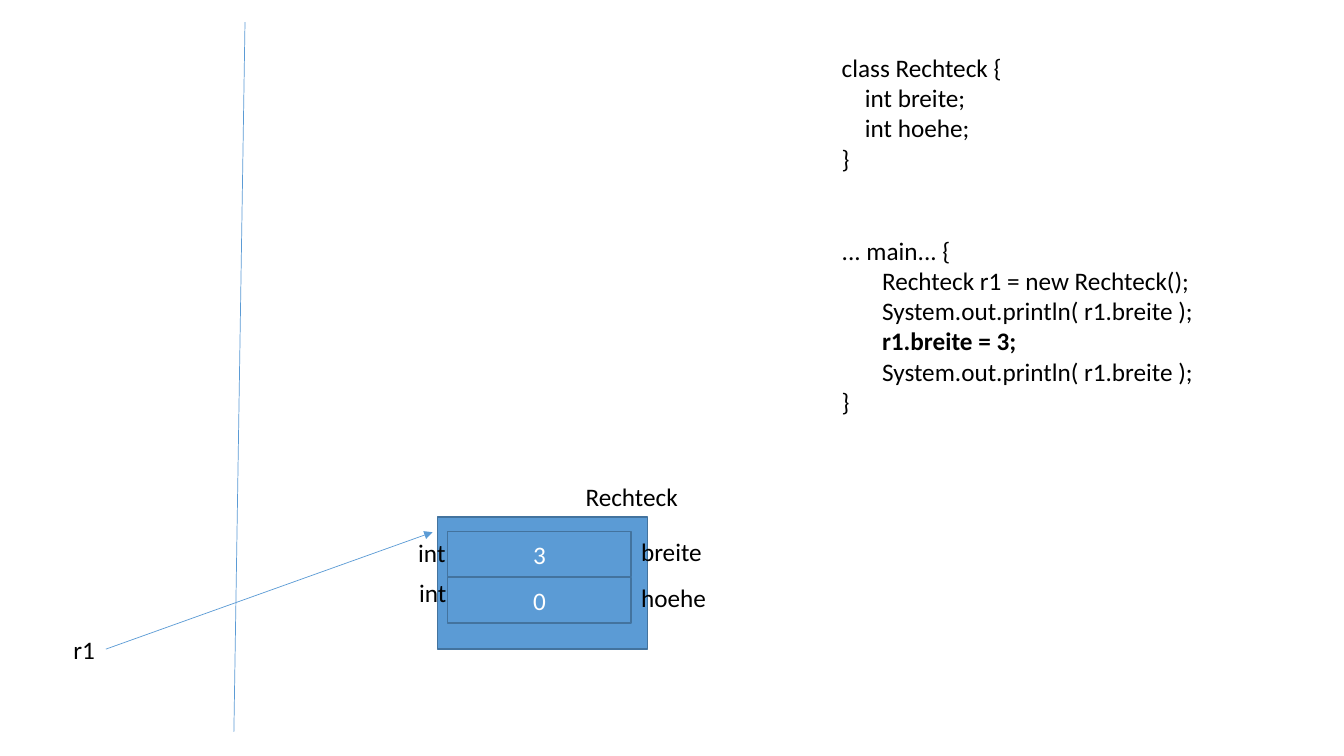
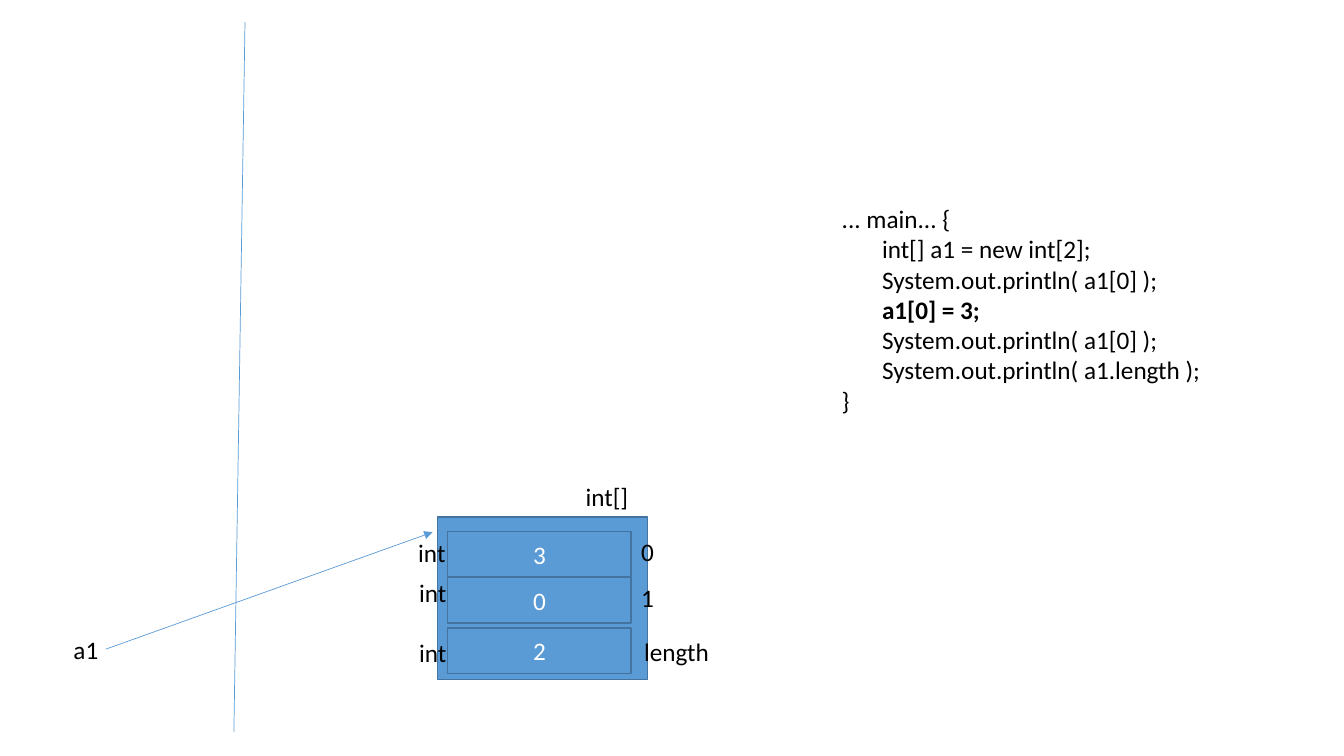
from pptx import Presentation
from pptx.dml.color import RGBColor
from pptx.enum.shapes import MSO_CONNECTOR, MSO_SHAPE
from pptx.enum.text import MSO_ANCHOR, MSO_AUTO_SIZE, PP_ALIGN
from pptx.oxml.ns import qn
from pptx.util import Inches, Pt
from lxml import etree

STRAIGHT = MSO_CONNECTOR.STRAIGHT
RECT = MSO_SHAPE.RECTANGLE
MIDDLE = MSO_ANCHOR.MIDDLE
GROW = MSO_AUTO_SIZE.SHAPE_TO_FIT_TEXT
CENTER = PP_ALIGN.CENTER

COLORS = {"blue": "5B9BD5", "border": "43739E", "text": "000000", "white": "FFFFFF"}
FONT = "Calibri"
SIZE = Pt(18)
LABEL_H = 0.4
FIELD_INDENT = 0.23
BODY_INDENT = 0.4
BLOCK_GAP = 44  # points between two blocks of code

# Per memory slot: top of the cell, (left, top) of its type, (left, top) of its name
SLOTS = [
    (5.27, (4.05, 5.28), (6.26, 5.27)),
    (5.73, (4.06, 5.68), (6.26, 5.73)),
    (6.23, (4.06, 6.27), (6.29, 6.26)),
]


def color(name):
    """Return the named colour."""
    return RGBColor.from_string(COLORS[name])


def add_run(p, text, color_name="text", bold=False):
    """Add one run in the common font."""
    r = p.add_run()
    r.text = text
    r.font.name, r.font.size, r.font.bold = FONT, SIZE, bold
    r.font.color.rgb = color(color_name)


def add_text(slide, left, top, width, height=LABEL_H):
    """Add an empty, unwrapped text box and return its text frame."""
    tf = slide.shapes.add_textbox(
        Inches(left), Inches(top), Inches(width), Inches(height)).text_frame
    tf.word_wrap = False
    tf.auto_size = GROW
    return tf


def add_label(slide, text, left, top, width):
    """Add a one-line label."""
    add_run(add_text(slide, left, top, width).paragraphs[0], text)


def add_code(slide, top, width, height, lines):
    """Add code from (text, indent, bold, space before) lines."""
    tf = add_text(slide, 8.25, top, width, height)
    for i, (text, indent, bold, before) in enumerate(lines):
        p = tf.add_paragraph() if i else tf.paragraphs[0]
        if indent:
            p._p.get_or_add_pPr().set("marL", str(Inches(indent)))
        if before:
            p.space_before = Pt(before)
        add_run(p, text, bold=bold)


def add_box(slide, left, top, width, height, text=""):
    """Add a blue rectangle, with centred text if any."""
    sp = slide.shapes.add_shape(
        RECT, Inches(left), Inches(top), Inches(width), Inches(height))
    sp.shadow.inherit = False
    sp.fill.solid()
    sp.fill.fore_color.rgb = color("blue")
    sp.line.color.rgb = color("border")
    sp.line.width = Pt(1)
    if text:
        sp.text_frame.vertical_anchor = MIDDLE
        p = sp.text_frame.paragraphs[0]
        p.alignment = CENTER
        add_run(p, text, "white")


def add_line(slide, start, end, arrow=False):
    """Add a thin blue line, with an arrowhead at its end if asked."""
    cn = slide.shapes.add_connector(STRAIGHT, *map(Inches, start + end))
    cn.line.color.rgb = color("blue")
    cn.line.width = Pt(0.5)
    if arrow:
        etree.SubElement(cn.line._get_or_add_ln(), qn("a:tailEnd"), type="triangle")
    etree.SubElement(cn._element.spPr, qn("a:effectLst"))


def add_memory(slide, variable, object_type, object_height, fields):
    """Draw stack and heap; variable, type and fields carry label widths."""
    add_line(slide, (2.43, 0.22), (2.32, 7.26))
    add_label(slide, variable[0], 0.63, 6.24, variable[1])
    add_box(slide, 4.34, 5.13, 2.08, object_height)
    add_label(slide, object_type[0], 5.71, 4.73, object_type[1])
    for (top, _, _), (value, _, _) in zip(SLOTS, fields):
        add_box(slide, 4.44, top, 1.82, 0.45, value)
    for (_, type_at, name_at), (_, name, width) in zip(SLOTS, fields):
        add_label(slide, "int", *type_at, 0.47)
        add_label(slide, name, *name_at, width)
    add_line(slide, (1.05, 6.44), (4.29, 5.28), arrow=True)


def main_method(statements, bold_index, before=0):
    """Return the code lines of a main method with one bold statement."""
    body = [(text, BODY_INDENT, i == bold_index, 0)
            for i, text in enumerate(statements)]
    return [("... main... {", 0, False, before), *body, ("}", 0, False, 0)]


def build_object_slide(slide):
    """Object with two fields."""
    class_code = [
        ("class Rechteck {", 0, False, 0),
        ("int breite;", FIELD_INDENT, False, 0),
        ("int hoehe;", FIELD_INDENT, False, 0),
        ("}", 0, False, 0),
    ]
    main_code = main_method([
        "Rechteck r1 = new Rechteck();",
        "System.out.println( r1.breite );",
        "r1.breite = 3;",
        "System.out.println( r1.breite );",
    ], 2, BLOCK_GAP)
    add_code(slide, 0.47, 3.72, 3.74, class_code + main_code)
    add_memory(slide, ("r1", 0.42), ("Rechteck", 1.13), 1.31,
               [("3", "breite", 0.81), ("0", "hoehe", 0.85)])


def build_array_slide(slide):
    """Array with two elements and its length."""
    add_code(slide, 1.97, 3.8, 2.24, main_method([
        "int[] a1 = new int[2];",
        "System.out.println( a1[0] );",
        "a1[0] = 3;",
        "System.out.println( a1[0] );",
        "System.out.println( a1.length );",
    ], 2))
    add_memory(slide, ("a1", 0.45), ("int[]", 0.63), 1.61,
               [("3", "0", 0.33), ("0", "1", 0.33), ("2", "length", 0.85)])


def main():
    """Build and save the presentation."""
    prs = Presentation()
    prs.slide_width, prs.slide_height = Inches(13.33), Inches(7.5)
    for build in (build_object_slide, build_array_slide):
        build(prs.slides.add_slide(prs.slide_layouts[6]))
    prs.save("out.pptx")


main()
